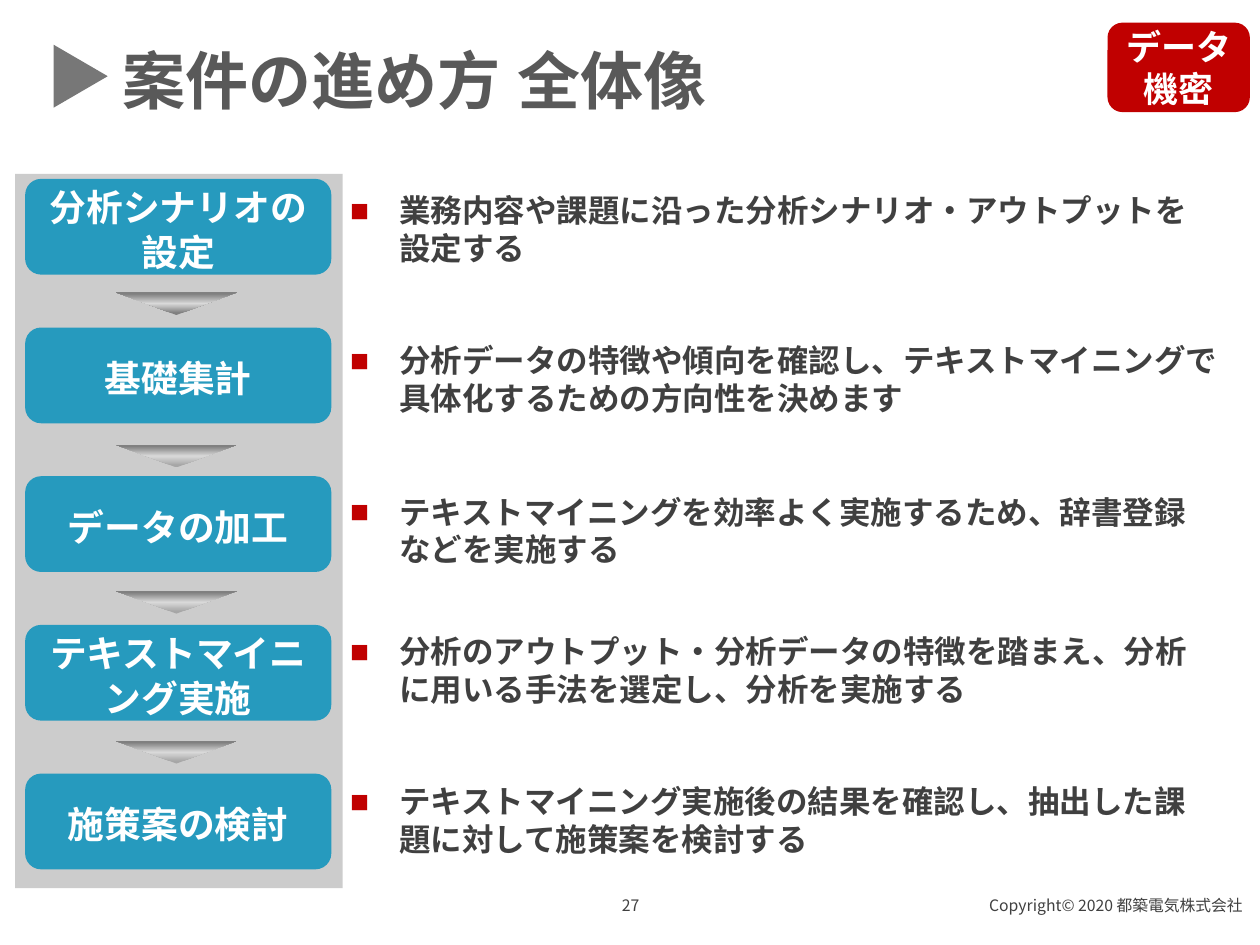
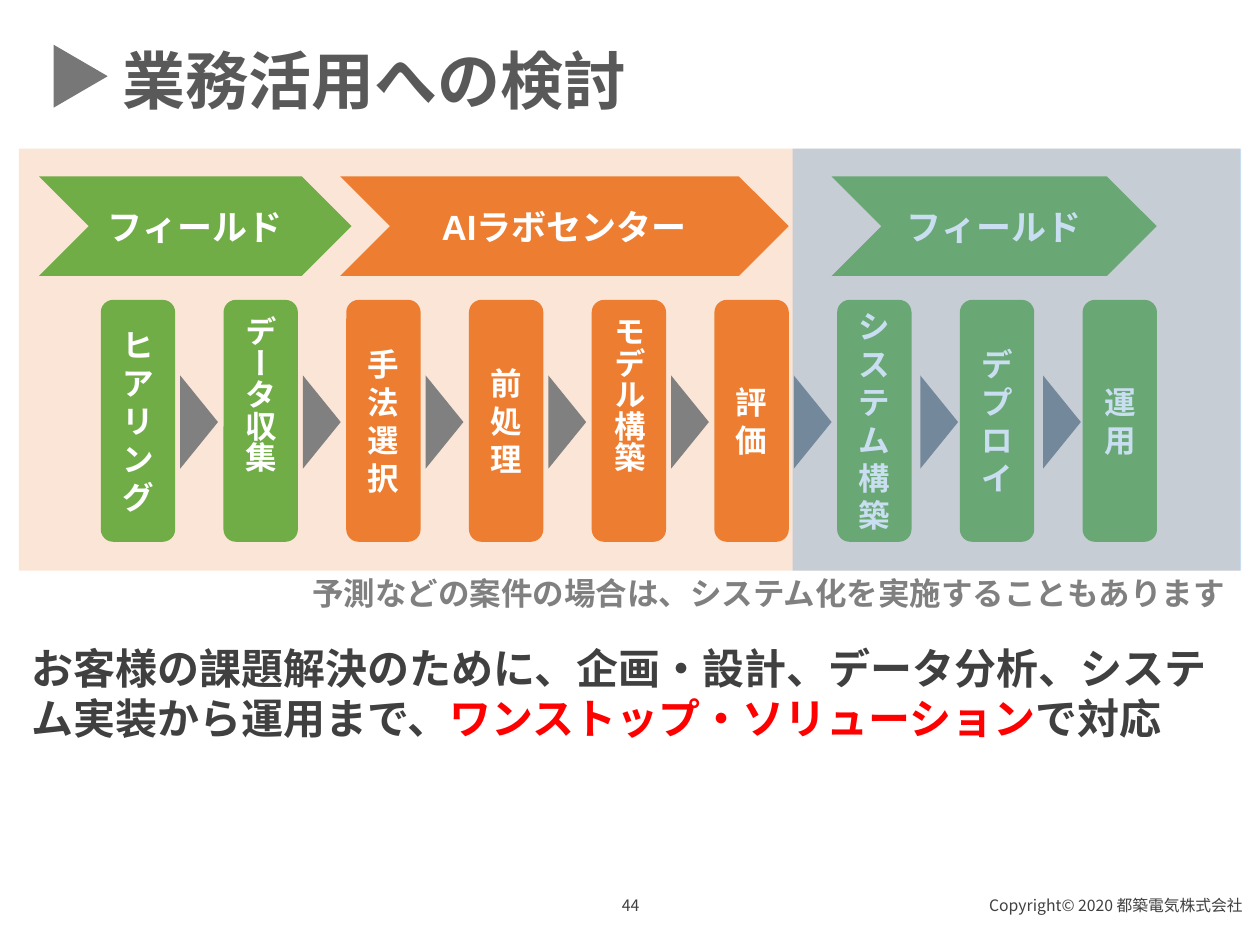
from lxml import etree
from pptx import Presentation
from pptx.dml.color import RGBColor
from pptx.enum.shapes import MSO_SHAPE as Shape
from pptx.enum.text import MSO_ANCHOR as Anchor, MSO_AUTO_SIZE as AutoSize, PP_ALIGN as Align
from pptx.oxml import parse_xml
from pptx.oxml.ns import nsdecls, qn
from pptx.util import Inches, Pt

COLORS = {
    "white": "FFFFFF", "text": "404040", "title": "595959", "marker": "777777",
    "gray": "808080", "silver": "A6A6A6", "light": "D9D9D9", "crimson": "C00000",
    "red": "FF0000", "step": "269ABE", "green": "70AD47", "orange": "ED7D31",
    "peach": "FBE5D6", "blue": "5B9BD5",
}
LATIN, JAPANESE = "Arial", "Noto Sans CJK JP"
COPYRIGHT = "Copyright© 2020 都築電気株式会社"

STEPS = [
    ("分析シナリオの\n設定", 1.47, 7, "業務内容や課題に沿った分析シナリオ・アウトプットを設定する"),
    ("基礎集計", 2.66, 7.22, "分析データの特徴や傾向を確認し、テキストマイニングで具体化するための方向性を決めます"),
    ("データの加工", 3.86, 7, "テキストマイニングを効率よく実施するため、辞書登録などを実施する"),
    ("テキストマイニング実施", 4.97, 7, "分析のアウトプット・分析データの特徴を踏まえ、分析に用いる手法を選定し、分析を実施する"),
    ("施策案の検討", 6.16, 7, "テキストマイニング実施後の結果を確認し、抽出した課題に対して施策案を検討する"),
]
STEP_ARROW_TOPS = [2.32, 3.53, 4.69, 5.88]
PHASES = [
    ("フィールド", 0.31, 2.48, "green"),
    ("AIラボセンター", 2.7, 3.56, "orange"),
    ("フィールド", 6.6, 2.58, "green"),
]
TASKS = [
    ("ヒアリング", "green"), ("データ収集", "green"), ("手法選択", "orange"),
    ("前処理", "orange"), ("モデル構築", "orange"), ("評価", "orange"),
    ("システム構築", "green"), ("デプロイ", "green"), ("運用", "green"),
]
VERTICAL_TASKS = {"データ収集", "モデル構築"}


def rgb(name):
    """Return the named palette colour."""
    return RGBColor.from_string(COLORS[name])


def write_text(frame, text, size=18, color="text", font=LATIN, bold=True,
               align=Align.LEFT, anchor=Anchor.TOP, wrap=True, bullet=False):
    """Fill a frame with a string, or with (text, colour) spans, in one format."""
    frame.word_wrap = wrap
    frame.auto_size = AutoSize.NONE
    frame.vertical_anchor = anchor
    lines = [[(line, color)] for line in text.split("\n")] if isinstance(text, str) else [text]
    for index, spans in enumerate(lines):
        para = frame.add_paragraph() if index else frame.paragraphs[0]
        para.alignment = align
        if bullet:
            add_bullet(para)
        for words, span_color in spans:
            span = para.add_run()
            span.text = words
            span.font.size = Pt(size)
            span.font.bold = bold
            span.font.name = font
            span.font.color.rgb = rgb(span_color)
            east_asian = etree.SubElement(span.font._element, qn("a:ea"))
            east_asian.set("typeface", font)


def add_bullet(para):
    """Give a paragraph a hanging crimson square."""
    properties = para._p.get_or_add_pPr()
    properties.set("marL", str(Inches(0.39)))
    properties.set("indent", str(-Inches(0.39)))
    color = etree.SubElement(properties, qn("a:buClr"))
    etree.SubElement(color, qn("a:srgbClr")).set("val", COLORS["crimson"])
    etree.SubElement(properties, qn("a:buFont")).set("typeface", LATIN)
    etree.SubElement(properties, qn("a:buChar")).set("char", "■")


def add_text(page, text, left, top, width, height, **style):
    """Add a text box."""
    box = page.shapes.add_textbox(Inches(left), Inches(top), Inches(width), Inches(height))
    write_text(box.text_frame, text, **style)
    return box


def add_block(page, kind, left, top, width, height, fill, opacity=100, rotation=0):
    """Add a borderless preset shape with a flat fill."""
    block = page.shapes.add_shape(kind, Inches(left), Inches(top), Inches(width), Inches(height))
    block.shadow.inherit = False
    block.line.fill.background()
    block.fill.solid()
    block.fill.fore_color.rgb = rgb(fill)
    block.rotation = rotation
    if opacity < 100:
        color = block._element.spPr.find(qn("a:solidFill"))[0]
        etree.SubElement(color, qn("a:alpha")).set("val", str(opacity * 1000))
    return block


def add_label(page, kind, text, left, top, width, height, fill, size):
    """Add a filled shape with centred white text."""
    block = add_block(page, kind, left, top, width, height, fill)
    write_text(block.text_frame, text, size=size, color="white",
               align=Align.CENTER, anchor=Anchor.MIDDLE)
    return block


def add_step_arrow(page, top, start):
    """Add a downward triangle with a metallic gradient."""
    arrow = add_block(page, Shape.ISOSCELES_TRIANGLE, 0.92, top, 0.96, 0.18, "gray", rotation=180)
    stops = "".join(
        f'<a:gs pos="{place * 1000}"><a:srgbClr val="{COLORS[name]}"/></a:gs>'
        for place, name in [(10, start), (50, "light"), (93, "gray")])
    gradient = parse_xml(f'<a:gradFill {nsdecls("a")} rotWithShape="1"><a:gsLst>{stops}</a:gsLst>'
                         '<a:lin ang="5400000" scaled="0"/></a:gradFill>')
    properties = arrow._element.spPr
    properties.replace(properties.find(qn("a:solidFill")), gradient)


def add_page(deck, title, number):
    """Add a slide with its title, marker and footer."""
    page = deck.slides.add_slide(deck.slide_layouts[5])
    heading = page.shapes.title
    heading.left, heading.top = Inches(0.87), Inches(0.28)
    heading.width, heading.height = Inches(7.5), Inches(0.71)
    write_text(heading.text_frame, title, size=36, color="title")
    add_block(page, Shape.ISOSCELES_TRIANGLE, 0.39, 0.39, 0.5, 0.43, "marker", rotation=90)
    footer = {"size": 9, "font": JAPANESE, "bold": False}
    add_text(page, COPYRIGHT, 6.34, 7.06, 3.62, 0.4, align=Align.RIGHT, **footer)
    add_text(page, str(number), 3.88, 7.06, 2.25, 0.4, align=Align.CENTER, **footer)
    return page


def build_process_page(deck):
    """Build the overview of the five project steps."""
    page = add_page(deck, "案件の進め方 全体像", 27)
    add_block(page, Shape.RECTANGLE, 0.12, 1.38, 2.6, 5.67, "gray", opacity=40)
    for index, (name, text_top, text_width, detail) in enumerate(STEPS):
        step = add_label(page, Shape.ROUNDED_RECTANGLE, name, 0.2, 1.42 + 1.18 * index,
                         2.43, 0.76, "step", 21)
        step.text_frame.margin_top = Inches(0.09)
        add_text(page, detail, 2.68, text_top, text_width, 0.71, bullet=True)
    for index, top in enumerate(STEP_ARROW_TOPS):
        add_step_arrow(page, top, "silver" if index else "gray")
    add_label(page, Shape.ROUNDED_RECTANGLE, "データ機密", 8.79, 0.18, 1.13, 0.71, "crimson", 20)


def build_business_page(deck):
    """Build the flow from hearing to operation."""
    page = add_page(deck, "業務活用への検討", 44)
    add_block(page, Shape.RECTANGLE, 0.15, 1.18, 9.69, 3.35, "peach")
    for name, left, width, fill in PHASES:
        add_label(page, Shape.CHEVRON, name, left, 1.4, width, 0.79, fill, 20)
    pitch = 0.974
    for index, (name, fill) in enumerate(TASKS):
        task = add_label(page, Shape.ROUNDED_RECTANGLE, name, 0.8 + pitch * index, 2.38,
                         0.59, 1.92, fill, 18)
        if name in VERTICAL_TASKS:
            task.text_frame._txBody.bodyPr.set("vert", "eaVert")
            task.text_frame.margin_bottom = Inches(0.42)
    for index in range(len(TASKS) - 1):
        nudge = 0.03 if index > 5 else 0
        add_block(page, Shape.ISOSCELES_TRIANGLE, 1.21 + pitch * index + nudge, 3.2,
                  0.74, 0.3, "gray", rotation=90)
    add_block(page, Shape.RECTANGLE, 6.29, 1.18, 3.56, 3.35, "blue", opacity=32)
    add_text(page, "予測などの案件の場合は、システム化を実施することもあります",
             2.38, 4.51, 7.6, 0.4, color="gray", font=JAPANESE)
    add_text(page, [("お客様の課題解決のために、企画・設計、データ分析、システム実装から運用まで、", "text"),
                    ("ワンストップ・ソリューション", "red"), ("で対応", "text")],
             0.15, 5.05, 9.69, 0.91, size=24)


def main():
    """Build and save the deck."""
    deck = Presentation()
    deck.slide_width, deck.slide_height = Inches(10), Inches(7.5)
    build_process_page(deck)
    build_business_page(deck)
    deck.save("out.pptx")


if __name__ == "__main__":
    main()
